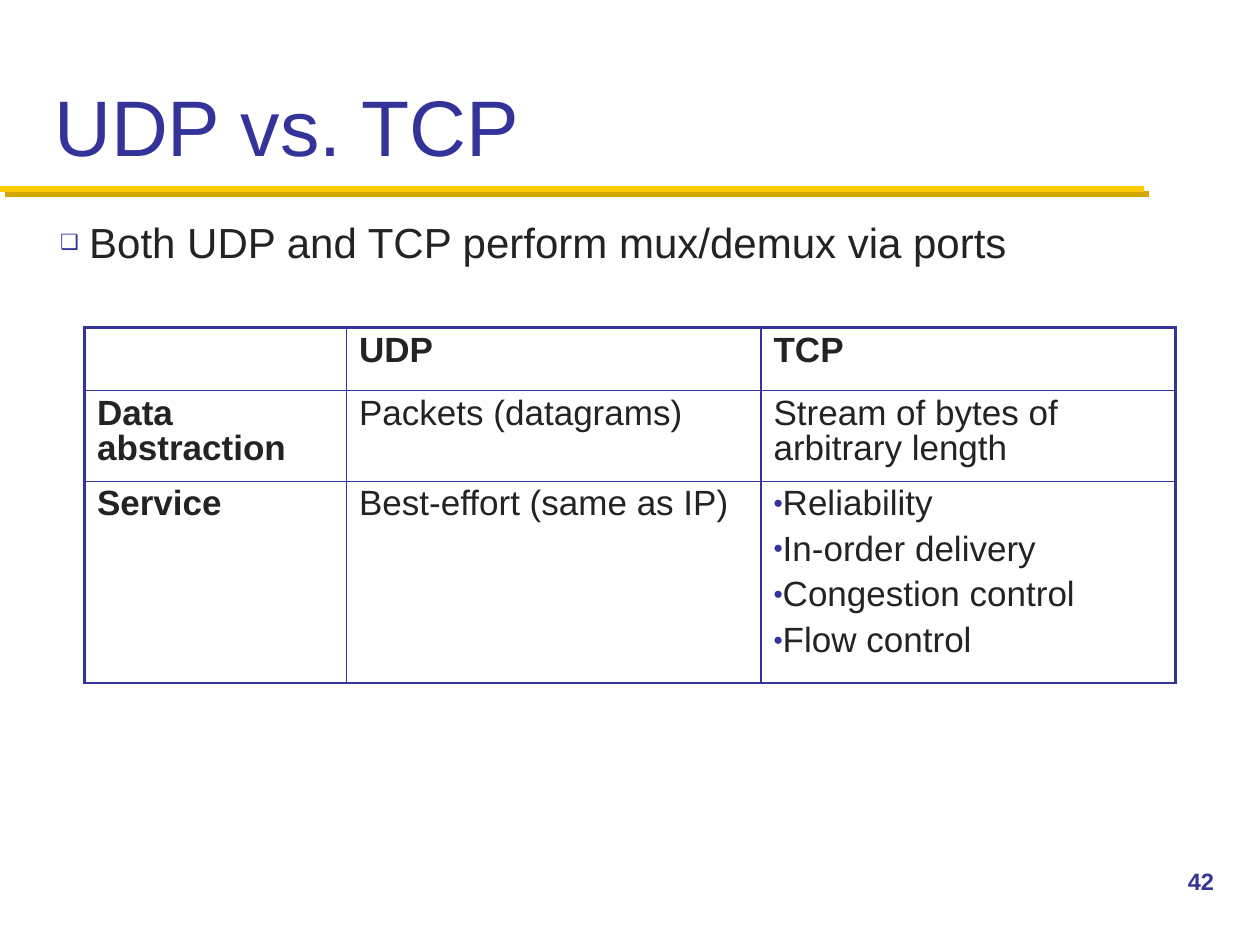
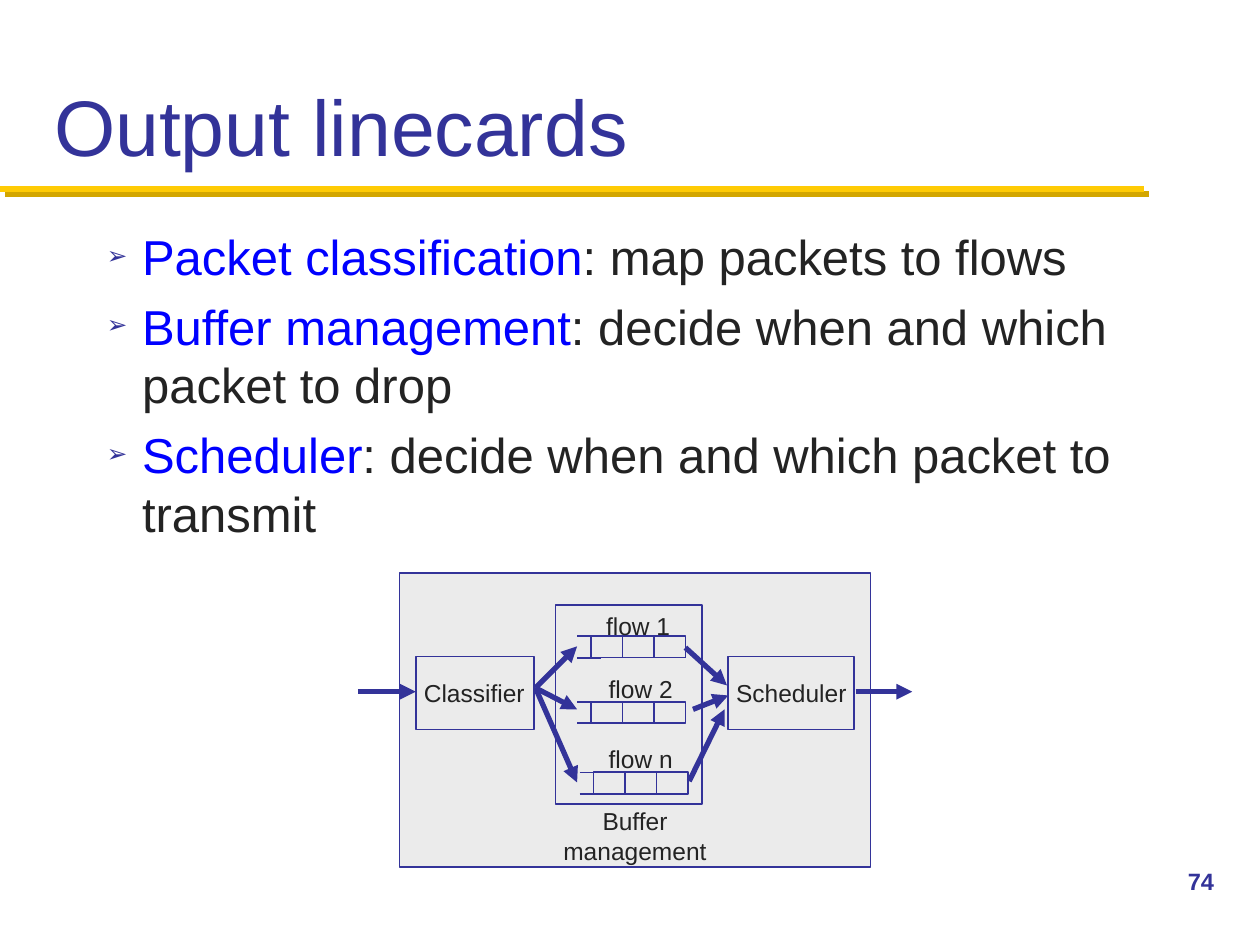
from lxml import etree
from pptx import Presentation
from pptx.dml.color import RGBColor
from pptx.enum.shapes import MSO_CONNECTOR, MSO_SHAPE
from pptx.enum.text import MSO_ANCHOR, MSO_AUTO_SIZE, PP_ALIGN
from pptx.oxml import parse_xml
from pptx.oxml.ns import nsdecls, qn
from pptx.util import Inches, Pt

HEX = {"navy": "333399", "text": "232323", "term": "0000FF",
       "gold": "FFCB05", "gold_shadow": "D3A600", "panel": "EBEBEB"}
RGB = {name: RGBColor.from_string(value) for name, value in HEX.items()}
FONT = "Arial"


def add_line(page, start, end, color="navy", width=1, arrow=False):
    """Draw a straight line and return its (empty) effect list."""
    line = page.shapes.add_connector(
        MSO_CONNECTOR.STRAIGHT, *[Inches(value) for value in (*start, *end)])
    line.line.color.rgb = RGB[color]
    line.line.width = Pt(width)
    props = line._element.spPr
    if arrow:
        etree.SubElement(props.find(qn("a:ln")), qn("a:tailEnd"), type="triangle")
    return etree.SubElement(props, qn("a:effectLst"))


def add_bullet(para, symbol, percent, left=0, hanging=0):
    """Give a paragraph a navy bullet; call before setting its font."""
    props = para._p.get_or_add_pPr()
    props.set("marL", str(Inches(left)))
    props.set("indent", str(-Inches(hanging)))
    color = etree.SubElement(props, qn("a:buClr"))
    etree.SubElement(color, qn("a:srgbClr"), val=HEX["navy"])
    etree.SubElement(props, qn("a:buSzPct"), val=str(percent * 1000))
    etree.SubElement(props, qn("a:buFont"), typeface=FONT)
    etree.SubElement(props, qn("a:buChar"), char=symbol)


deck = Presentation()
deck.slide_width, deck.slide_height = Inches(10), Inches(7.5)

# Each body item is a highlighted term and the text after it
slides = [
    {"title": "UDP vs. TCP", "number": "42",
     "body_at": (0, 1.67, 8.83, 0.75), "size": 24, "space": 5,
     "bullet": ("❑", 50, 0.61, 0.23),
     "body": [("", "Both UDP and TCP perform mux/demux via ports")]},
    {"title": "Output linecards", "number": "74",
     "body_at": (0.75, 1.75, 8.67, 4.83), "size": 28, "space": 6,
     "bullet": ("➢", 50, 0.28, 0.28),
     "body": [("Packet classification", ": map packets to flows"),
              ("Buffer management", ": decide when and which packet to drop"),
              ("Scheduler", ": decide when and which packet to transmit")]},
]

# Shared parts: gold rule, title, body bullets, page number
pages = []
for content in slides:
    page = deck.slides.add_slide(deck.slide_layouts[5])
    pages.append(page)

    effects = add_line(page, (0, 1.5), (9.08, 1.5), "gold", 3.5)
    shadow = etree.SubElement(effects, qn("a:outerShdw"), dist=str(Pt(4.2)),
                              dir="2700000", algn="ctr", rotWithShape="0")
    etree.SubElement(shadow, qn("a:srgbClr"), val=HEX["gold_shadow"])

    title = page.shapes.title
    title.left, title.top = Inches(0.33), Inches(0.17)
    title.width, title.height = Inches(9.33), Inches(1.25)
    title.text_frame.text = content["title"]
    title.text_frame.auto_size = MSO_AUTO_SIZE.NONE
    title.text_frame.vertical_anchor = MSO_ANCHOR.BOTTOM
    para = title.text_frame.paragraphs[0]
    para.alignment = PP_ALIGN.LEFT
    para.font.name, para.font.size = FONT, Pt(45)
    para.font.color.rgb = RGB["navy"]

    body = page.shapes.add_textbox(*[Inches(value) for value in content["body_at"]])
    body.text_frame.word_wrap = True
    for index, (term, rest) in enumerate(content["body"]):
        para = body.text_frame.add_paragraph() if index else body.text_frame.paragraphs[0]
        add_bullet(para, *content["bullet"])
        para.space_before = Pt(content["space"])
        para.font.name, para.font.size = FONT, Pt(content["size"])
        for text, color in ((term, "term"), (rest, "text")):
            if text:
                span = para.add_run()
                span.text = text
                span.font.color.rgb = RGB[color]

    number = page.shapes.add_textbox(Inches(9.33), Inches(6.83), Inches(0.67), Inches(0.5))
    number.text_frame.word_wrap = True
    para = number.text_frame.paragraphs[0]
    para.text = content["number"]
    para.font.name, para.font.size, para.font.bold = FONT, Pt(13.5), True
    para.font.color.rgb = RGB["navy"]

comparison_page, linecard_page = pages

# Comparison table
rows = [
    ["", "UDP", "TCP"],
    ["Data abstraction", "Packets (datagrams)", "Stream of bytes of arbitrary length"],
    ["Service", "Best-effort (same as IP)",
     "Reliability\nIn-order delivery\nCongestion control\nFlow control"],
]
table = comparison_page.shapes.add_table(
    3, 3, Inches(0.67), Inches(2.6), Inches(8.67), Inches(2.81)).table
table.first_row = table.horz_banding = False
for column, width in zip(table.columns, (2.08, 3.29, 3.29)):
    column.width = Inches(width)
for row, height in zip(table.rows, (0.5, 0.72, 1.6)):
    row.height = Inches(height)

for row_index, row in enumerate(rows):
    for column_index, text in enumerate(row):
        cell = table.cell(row_index, column_index)
        cell.text = text
        for para in cell.text_frame.paragraphs:
            if "\n" in text:
                add_bullet(para, "•", 75)
            para.line_spacing, para.space_before = 0.9, Pt(6)
            para.font.name, para.font.size = FONT, Pt(20)
            para.font.bold = row_index == 0 or column_index == 0
            para.font.color.rgb = RGB["text"]
        # Heavy frame on the left, right and top; thin lines elsewhere
        heavy = {"L": column_index == 0, "R": column_index == 2,
                 "T": row_index == 0, "B": False}
        for side, is_heavy in heavy.items():
            cell._tc.get_or_add_tcPr().append(parse_xml(
                f'<a:ln{side} {nsdecls("a")} w="{Pt(2.25 if is_heavy else 1)}">'
                f'<a:solidFill><a:srgbClr val="{HEX["navy"]}"/></a:solidFill></a:ln{side}>'))
        cell.fill.background()

# Linecard diagram: panels, blocks and queue frames
queues = [(4.58, 5.05), (4.58, 5.57), (4.6, 6.13)]
frames = [
    (3.17, 4.55, 3.74, 2.33, "panel"),
    (4.41, 4.8, 1.16, 1.58, "panel"),
    (3.3, 5.21, 0.94, 0.58, None),
    (5.78, 5.21, 1, 0.58, None),
] + [(left + 0.11, top, 0.75, 0.17, None) for left, top in queues]
for *place, fill in frames:
    box = linecard_page.shapes.add_shape(
        MSO_SHAPE.RECTANGLE, *[Inches(value) for value in place])
    box.shadow.inherit = False
    box.line.color.rgb, box.line.width = RGB["navy"], Pt(1)
    if fill:
        box.fill.solid()
        box.fill.fore_color.rgb = RGB[fill]
    else:
        box.fill.background()

# Queue slots and open tails
for left, top in queues:
    bottom = top + 0.17
    for slot in (1, 2, 3):
        x = left + 0.11 + 0.25 * slot
        add_line(linecard_page, (x, top), (x, bottom))
    for y in (top, bottom):
        add_line(linecard_page, (left, y), (left + 0.19, y))

# Labels
labels = [
    ("Classifier", 3.26, 5.33, 1.01, 0.33),
    ("Scheduler", 5.74, 5.33, 1.08, 0.33),
    ("flow 1", 4.71, 4.8, 0.71, 0.33),
    ("flow 2", 4.73, 5.3, 0.71, 0.33),
    ("flow n", 4.73, 5.86, 0.71, 0.33),
    ("Buffer management", 4.2, 6.35, 1.68, 0.57),
]
for text, *place in labels:
    box = linecard_page.shapes.add_textbox(*[Inches(value) for value in place])
    box.text_frame.word_wrap = text == "Buffer management"
    para = box.text_frame.paragraphs[0]
    para.text = text
    para.alignment = PP_ALIGN.CENTER
    para.font.name, para.font.size = FONT, Pt(14)
    para.font.color.rgb = RGB["text"]

# Packet flow arrows
fan_out = (4.25, 5.46)
arrows = [
    ((2.84, 5.49), (3.3, 5.49)),
    (fan_out, (4.58, 5.13)),
    (fan_out, (4.58, 5.63)),
    (fan_out, (4.58, 6.21)),
    ((5.44, 5.14), (5.77, 5.44)),
    ((5.5, 5.63), (5.78, 5.52)),
    ((5.47, 6.2), (5.75, 5.63)),
    ((6.79, 5.49), (7.24, 5.49)),
]
for start, end in arrows:
    add_line(linecard_page, start, end, width=3, arrow=True)

deck.save("out.pptx")
